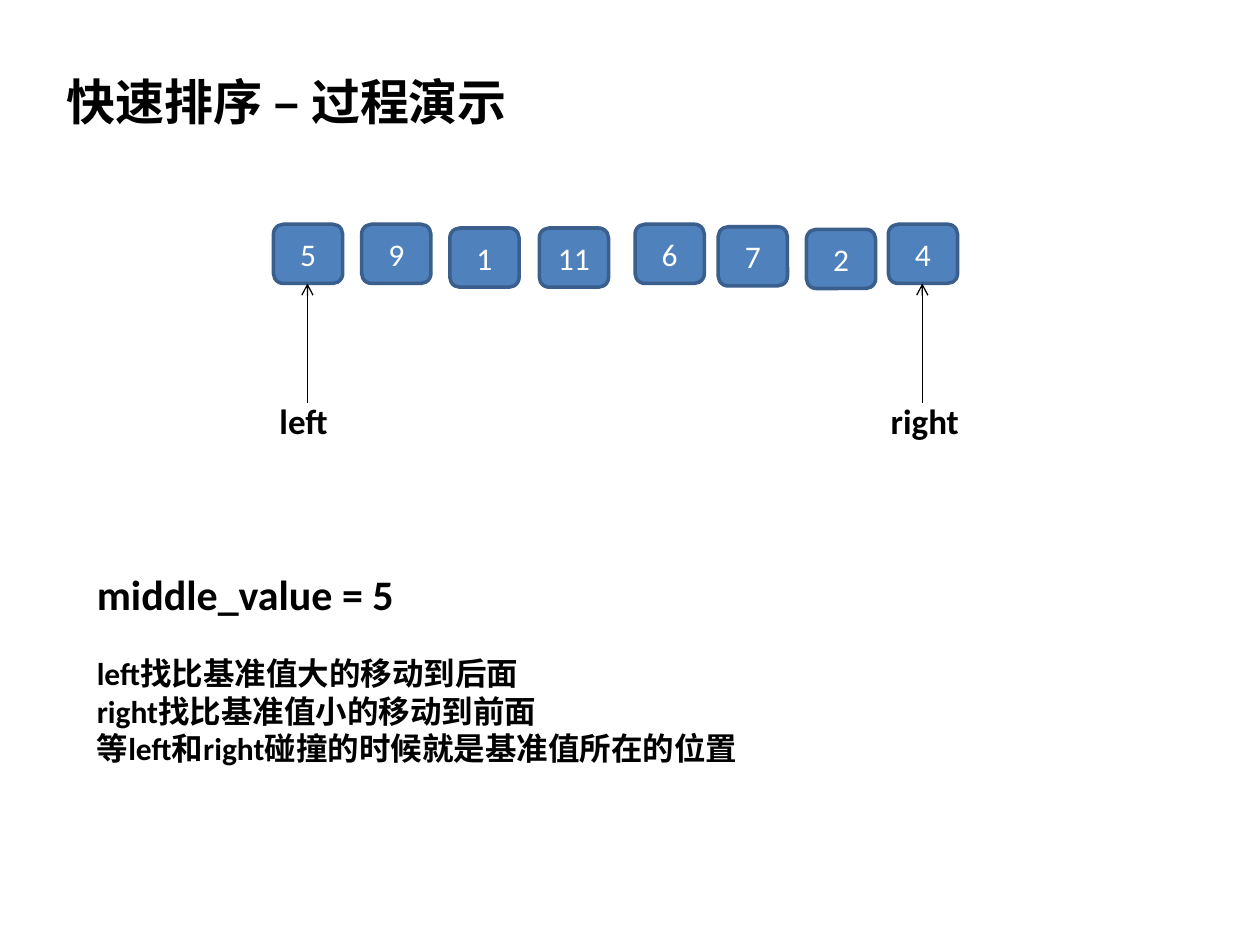
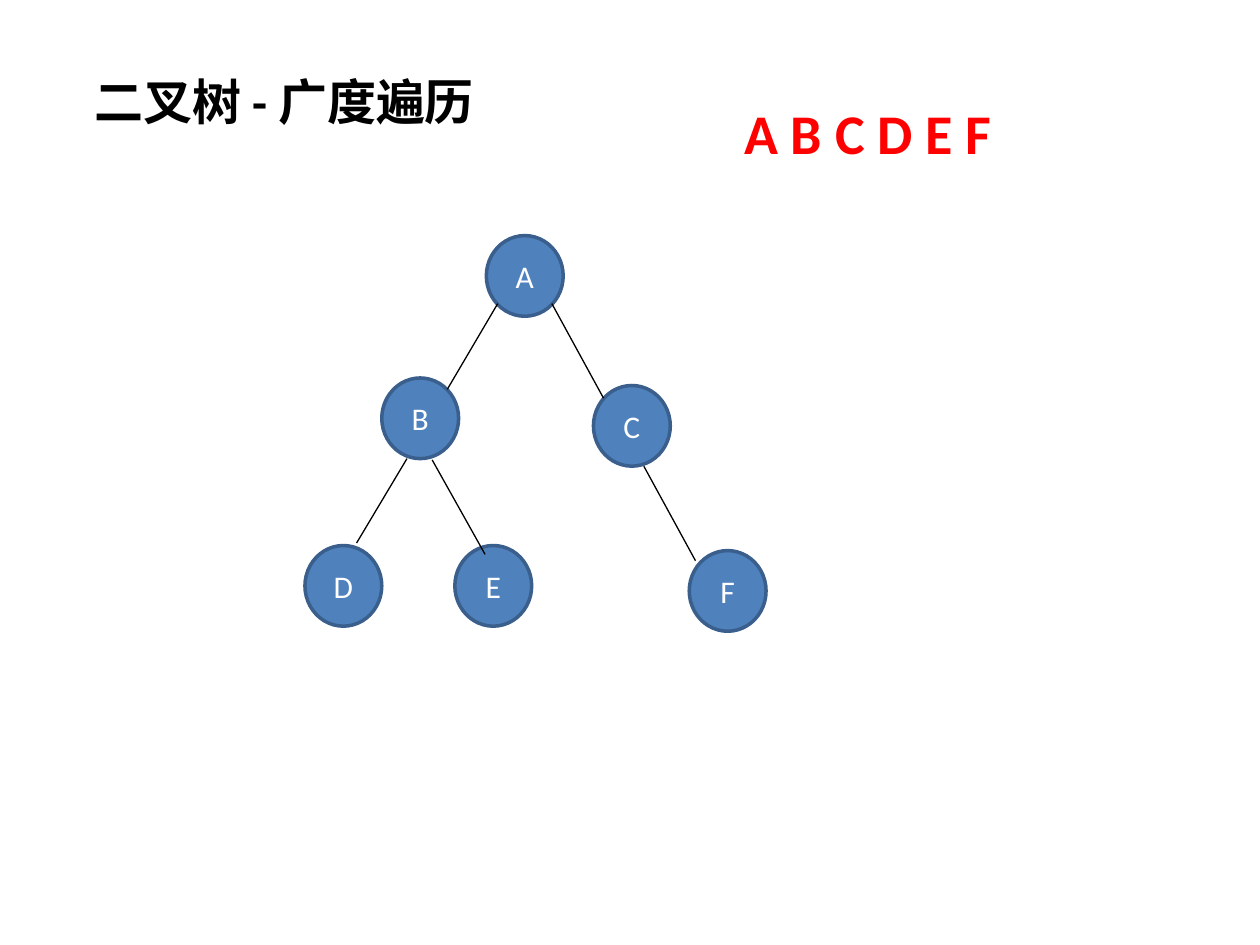
from lxml import etree
from pptx import Presentation
from pptx.dml.color import RGBColor
from pptx.enum.shapes import MSO_CONNECTOR, MSO_SHAPE
from pptx.enum.text import MSO_ANCHOR, PP_ALIGN
from pptx.oxml.ns import qn
from pptx.util import Pt

ROUNDED = MSO_SHAPE.ROUNDED_RECTANGLE
OVAL = MSO_SHAPE.OVAL
STRAIGHT = MSO_CONNECTOR.STRAIGHT
MIDDLE = MSO_ANCHOR.MIDDLE
CENTER = PP_ALIGN.CENTER

PX = 9144
FONT = "Calibri"
COLORS = {
    "text": "000000",
    "node": "4F81BD",
    "border": "3A5F8C",
    "label": "FFFFFF",
    "result": "FF0000",
}


def add_text(s, box, lines, size, color="text", shape=None):
    box = [v * PX for v in box]
    if shape is None:
        sp = s.shapes.add_textbox(*box)
    else:
        sp = s.shapes.add_shape(shape, *box)
        sp.shadow.inherit = False
        sp.fill.solid()
        sp.fill.fore_color.rgb = RGBColor.from_string(COLORS["node"])
        sp.line.color.rgb = RGBColor.from_string(COLORS["border"])
        sp.line.width = Pt(2)
    tf = sp.text_frame
    tf.word_wrap = True
    tf.text = lines
    if shape is not None:
        tf.vertical_anchor = MIDDLE
    for p in tf.paragraphs:
        if shape is not None:
            p.alignment = CENTER
        for r in p.runs:
            r.font.name = FONT
            r.font.size = Pt(size)
            r.font.bold = shape is None
            r.font.color.rgb = RGBColor.from_string(COLORS[color])


def add_line(s, ends, arrow=False):
    cx = s.shapes.add_connector(STRAIGHT, *[v * PX for v in ends])
    cx.line.color.rgb = RGBColor.from_string(COLORS["text"])
    cx.line.width = Pt(0.75)
    if arrow:
        ln = cx.line._get_or_add_ln()
        etree.SubElement(ln, qn("a:tailEnd"), type="arrow")
    etree.SubElement(cx._element.spPr, qn("a:effectLst"))


prs = Presentation()
prs.slide_width = 1000 * PX
prs.slide_height = 750 * PX
blank = prs.slide_layouts[6]

s = prs.slides.add_slide(blank)
add_text(s, (43, 52, 373, 57), "快速排序 – 过程演示", 28)

items = [
    ("5", 217, 178), ("9", 287, 178), ("1", 357, 181), ("11", 428, 181),
    ("6", 504, 178), ("7", 570, 180), ("2", 640, 182), ("4", 705, 178),
]
for value, x, y in items:
    add_text(s, (x, y, 55, 47), value, 18, "label", ROUNDED)

pointers = [("left", 244, 212, 60), ("right", 732, 697, 75)]
for name, arrow_x, x, w in pointers:
    add_line(s, (arrow_x, 320, arrow_x, 225), arrow=True)
    add_text(s, (x, 312, w, 44), name, 20)

add_text(s, (67, 446, 258, 50), "middle_value = 5", 24)
rules = [
    "left找比基准值大的移动到后面",
    "right找比基准值小的移动到前面",
    "等left和right碰撞的时候就是基准值所在的位置",
]
add_text(s, (67, 514, 537, 101), "\n".join(rules), 18)

s = prs.slides.add_slide(blank)
nodes = [
    ("A", 386, 187), ("B", 303, 300), ("C", 471, 306),
    ("D", 242, 433), ("E", 361, 433), ("F", 547, 437),
]
for name, x, y in nodes:
    add_text(s, (x, y, 61, 64), name, 18, "label", OVAL)

edges = [
    (355, 309, 395, 241), (479, 316, 438, 241), (385, 440, 343, 365),
    (552, 445, 511, 370), (283, 431, 323, 364),
]
for ends in edges:
    add_line(s, ends)

add_text(s, (65, 52, 326, 57), "二叉树 - 广度遍历", 28)
add_text(s, (581, 73, 328, 64), "A B C D E F", 32, "result")

prs.save("out.pptx")
